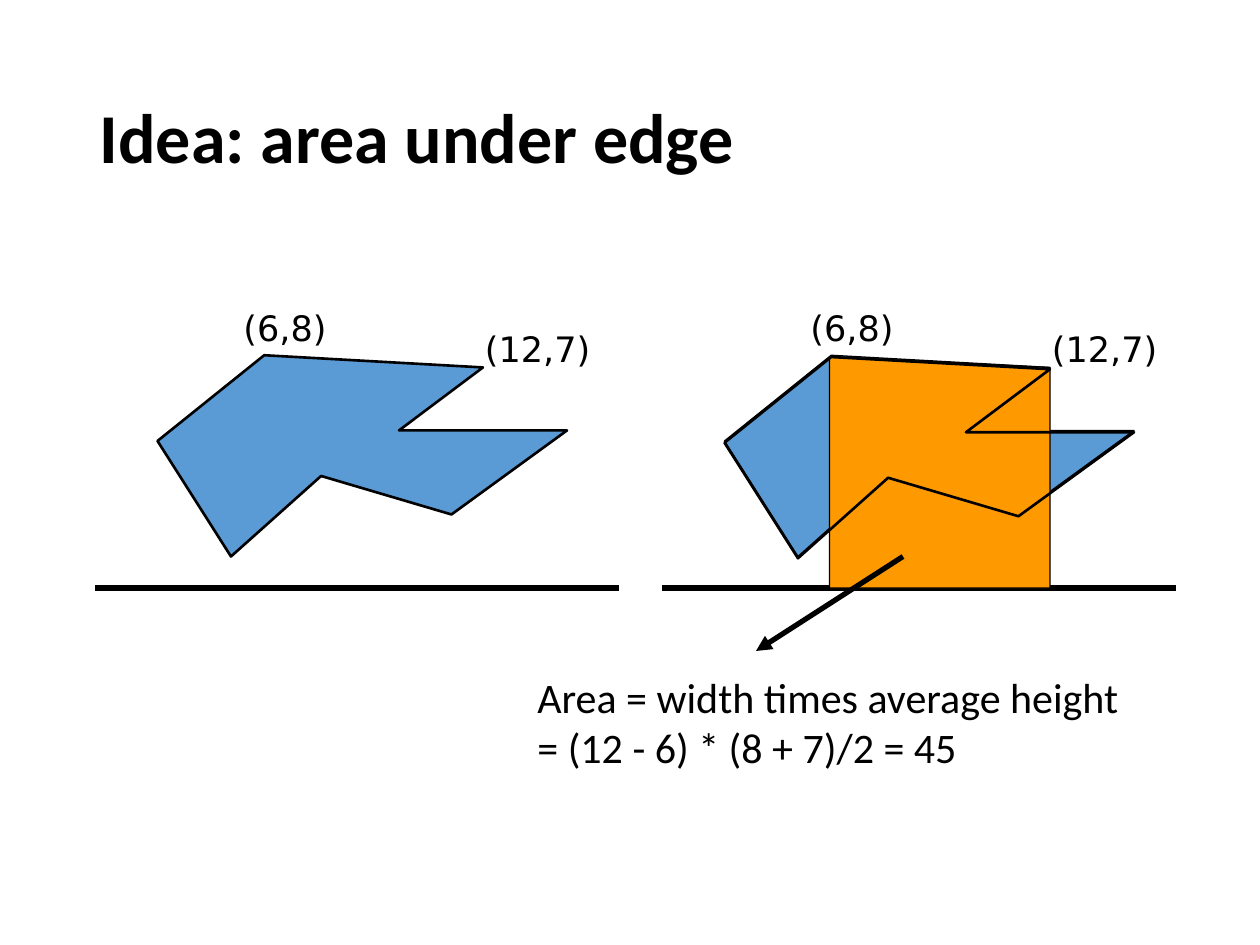
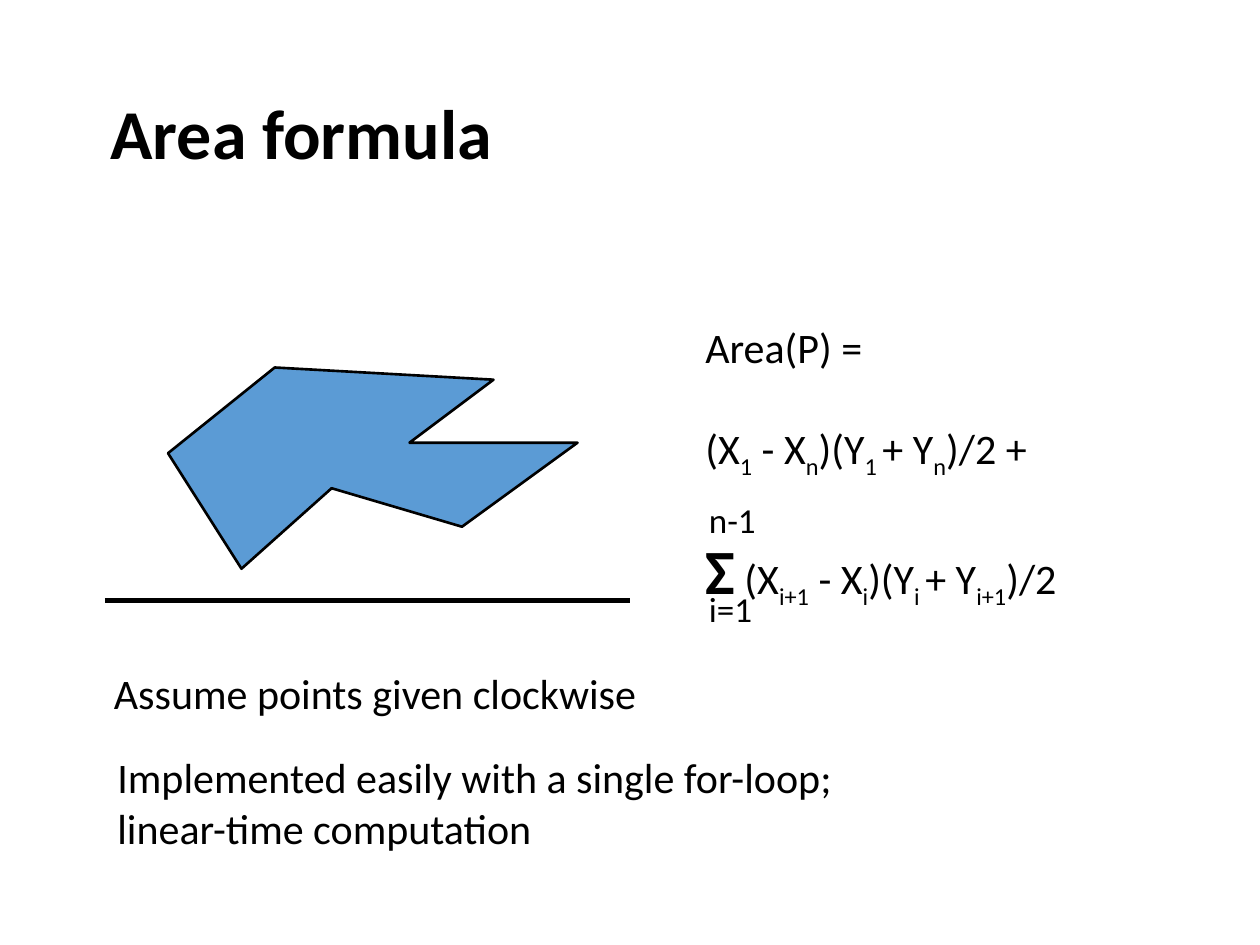
from pptx import Presentation
from pptx.dml.color import RGBColor
from pptx.enum.shapes import MSO_CONNECTOR
from pptx.enum.text import MSO_ANCHOR
from pptx.oxml.ns import qn
from pptx.util import Pt
from lxml.etree import SubElement

BLACK = RGBColor(0x00, 0x00, 0x00)
BLUE = RGBColor(0x5B, 0x9B, 0xD5)
ORANGE = RGBColor(0xFF, 0x99, 0x00)
BODY_FONT = "Calibri"
LABEL_FONT = "DejaVu Sans"

POLYGON = [(0, 49), (42, 115), (93.5, 69), (168, 91),
           (234, 43), (138, 43), (186, 7), (61, 0)]
AREA_UNDER_EDGE = [(474, 204), (600, 210), (600, 336), (474, 336)]
VERTEX_LABELS = [("(6,8)", 42, -31.5, 65.5), ("(12,7)", 180, -19.5, 78.5)]
BASELINE_DX, BASELINE_DY = -36, 133

AREA_TEXT = "Area = width times average height\n= (12 - 6) * (8 + 7)/2 = 45"
NOTES = [
    ("Assume points given clockwise", 58, 378, 339, 36),
    ("Implemented easily with a single for-loop; linear-time computation",
     60, 426, 465, 65.5),
]
SUM_LIMITS = [("i=1", 398, 332, 39.5), ("n-1", 398, 281.5, 42)]
# odd items are subscripts
FORMULA = [
    ["Area(P) ="],
    ["(X", "1", " - X", "n", ")(Y", "1 ", "+ Y", "n", ")/2 +"],
    [" (X", "i+1", " - X", "i", ")(Y", "i ", "+ Y", "i+1", ")/2"],
]
FORMULA_GAP = 29.3


def style(r, size, font=BODY_FONT, bold=False):
    r.font.size = Pt(size)
    r.font.name = font
    r.font.bold = bold
    r.font.color.rgb = BLACK


def add_box(slide, x, y, w, h, wrap=True):
    tf = slide.shapes.add_textbox(Pt(x), Pt(y), Pt(w), Pt(h)).text_frame
    tf.word_wrap = wrap
    return tf


def add_text(slide, text, x, y, w, h, size=24, font=BODY_FONT, bold=False, wrap=True):
    tf = add_box(slide, x, y, w, h, wrap)
    p = tf.paragraphs[0]
    p.text = text
    for r in p.runs:
        style(r, size, font, bold)
    return tf


def add_title(slide, text, x, y):
    tf = add_text(slide, text, x, y, 620.5, 104.5, size=40, bold=True)
    tf.vertical_anchor = MSO_ANCHOR.MIDDLE
    tf.paragraphs[0].line_spacing = 0.9


def add_outline(slide, points, fill=None, width=1.5, x=0, y=0):
    pts = [(Pt(x + px), Pt(y + py)) for px, py in points]
    builder = slide.shapes.build_freeform(*pts[0])
    builder.add_line_segments(pts[1:], close=True)
    sp = builder.convert_to_shape()
    sp.shadow.inherit = False
    if fill is None:
        sp.fill.background()
    else:
        sp.fill.solid()
        sp.fill.fore_color.rgb = fill
    sp.line.color.rgb = BLACK
    sp.line.width = Pt(width)


def add_line(slide, x1, y1, x2, y2, arrow=False):
    line = slide.shapes.add_connector(
        MSO_CONNECTOR.STRAIGHT, Pt(x1), Pt(y1), Pt(x2), Pt(y2))
    line.line.color.rgb = BLACK
    line.line.width = Pt(3)
    if arrow:
        SubElement(line.line._get_or_add_ln(), qn("a:tailEnd"), type="triangle")
    SubElement(line._element.spPr, qn("a:effectLst"))


def add_figure(slide, x, y, base_width=300, width=1.5, labels=()):
    add_outline(slide, POLYGON, BLUE, width, x, y)
    for text, dx, dy, w in labels:
        add_text(slide, text, x + dx, y + dy, w, 31, 20, LABEL_FONT, wrap=False)
    left, base = x + BASELINE_DX, y + BASELINE_DY
    add_line(slide, left, base, left + base_width, base)


def add_formula(slide, x, y, w, h):
    tf = add_box(slide, x, y, w, h)
    for i, parts in enumerate(FORMULA):
        p = tf.add_paragraph() if i else tf.paragraphs[0]
        if i:
            p.space_before = Pt(FORMULA_GAP)
        if i == len(FORMULA) - 1:
            r = p.add_run()
            r.text = "Σ"
            style(r, 36, bold=True)
        for j, part in enumerate(parts):
            r = p.add_run()
            r.text = part
            style(r, 24)
            if j % 2:
                r.font._element.set("baseline", "-25000")


def build_edge_slide(slide):
    add_title(slide, "Idea: area under edge", 50, 28.5)
    add_figure(slide, 90, 203, labels=VERTEX_LABELS)
    add_figure(slide, 414, 203, base_width=294, width=0.75, labels=VERTEX_LABELS)
    add_outline(slide, AREA_UNDER_EDGE, ORANGE, 0.75)
    add_outline(slide, POLYGON, x=414, y=204)
    add_line(slide, 516, 318, 432, 372, arrow=True)
    add_text(slide, AREA_TEXT, 300, 380, 372, 65.5)


def build_formula_slide(slide):
    add_title(slide, "Area formula", 56, 26)
    add_figure(slide, 96, 210)
    add_formula(slide, 396, 180, 293, 167)
    for text, x, y, w in SUM_LIMITS:
        add_text(slide, text, x, y, w, 31.5, size=20, wrap=False)
    for note in NOTES:
        add_text(slide, *note)


def main():
    prs = Presentation()
    prs.slide_width, prs.slide_height = Pt(720), Pt(540)
    for build in (build_edge_slide, build_formula_slide):
        build(prs.slides.add_slide(prs.slide_layouts[6]))
    prs.save("out.pptx")


if __name__ == "__main__":
    main()
